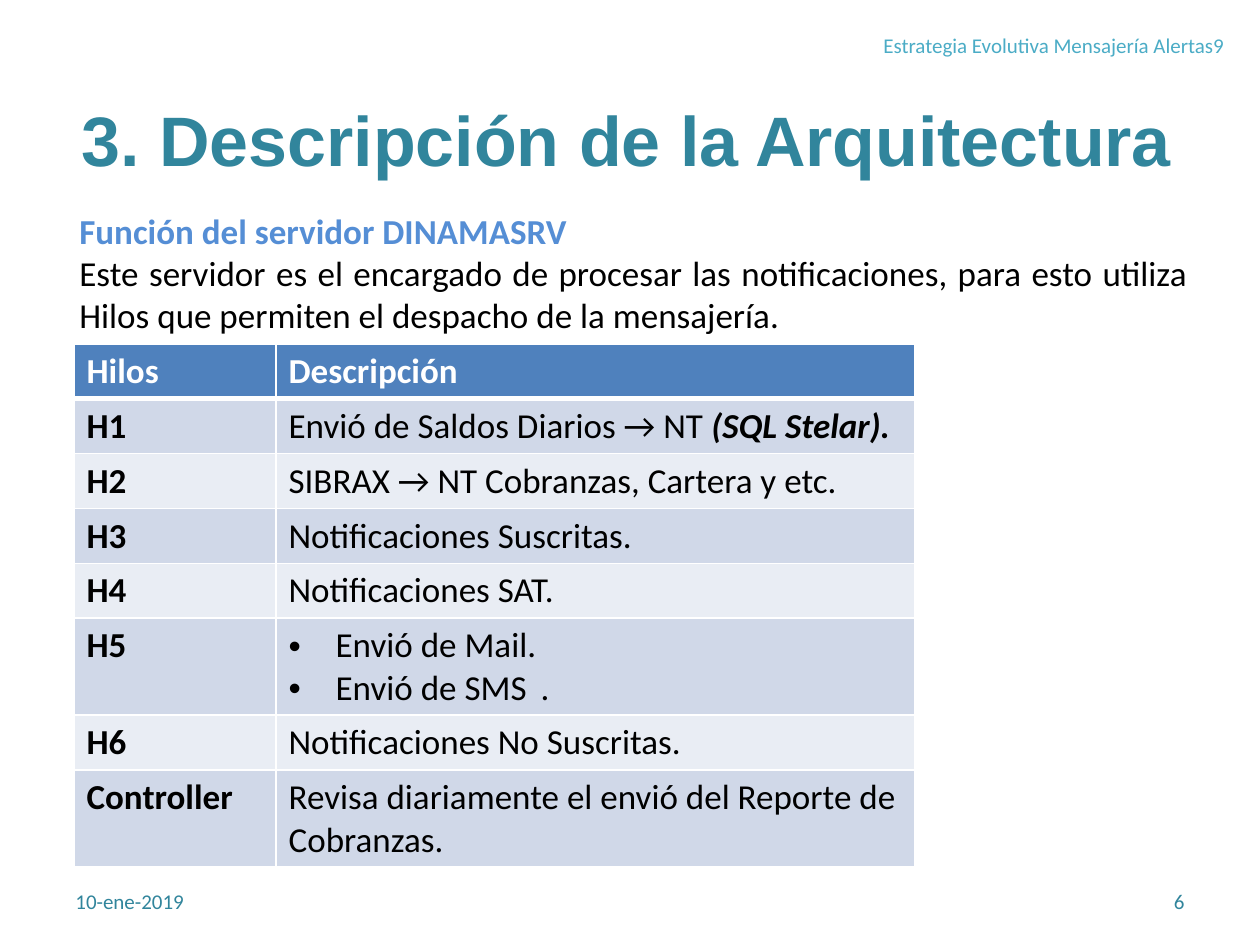
from lxml import etree
from pptx import Presentation
from pptx.dml.color import RGBColor
from pptx.enum.text import MSO_ANCHOR, PP_ALIGN
from pptx.oxml.ns import qn
from pptx.util import Pt

LEFT, CENTER, RIGHT, JUSTIFY = PP_ALIGN.LEFT, PP_ALIGN.CENTER, PP_ALIGN.RIGHT, PP_ALIGN.JUSTIFY
MIDDLE = MSO_ANCHOR.MIDDLE
SCALE = 914400 / 126
TEAL, WHITE, BLACK = "31859C", "FFFFFF", "000000"
HEADER_FILL, BANDS = "4F81BD", ("E9EDF4", "D0D8E8")


def px(*lengths):
    return [round(length * SCALE) for length in lengths]


def write(para, text, size=20, color=BLACK, bold=False, italic=False, font="Calibri", align=LEFT):
    para.alignment = align
    span = para.add_run()
    span.text = text
    span.font.name = font
    span.font.size = Pt(size)
    span.font.bold = bold
    span.font.italic = italic
    span.font.color.rgb = RGBColor.from_string(color)


deck = Presentation()
deck.slide_width, deck.slide_height = px(1260, 945)
page = deck.slides.add_slide(deck.slide_layouts[5])

title = page.shapes.title
title.left, title.top, title.width, title.height = px(-1, 75, 1255, 127)
title.text_frame.vertical_anchor = MIDDLE
write(title.text_frame.paragraphs[0], "3. Descripción de la Arquitectura",
      size=40, color=TEAL, bold=True, font="Arial", align=CENTER)

labels = [
    ((903, 876, 294, 50), "6", TEAL, RIGHT, True),
    ((871, 26, 383, 38), "Estrategia Evolutiva Mensajería Alertas9", "4BACC6", LEFT, False),
    ((63, 876, 294, 50), "10-ene-2019", TEAL, LEFT, True),
]
for place, text, color, align, wrap in labels:
    box = page.shapes.add_textbox(*px(*place))
    box.text_frame.word_wrap = wrap
    box.text_frame.vertical_anchor = MIDDLE
    write(box.text_frame.paragraphs[0], text, size=12, color=color, align=align)

intro = page.shapes.add_textbox(*px(67, 203, 1133, 140)).text_frame
intro.word_wrap = True
write(intro.paragraphs[0], "Función del servidor DINAMASRV", color="558ED5", bold=True, align=JUSTIFY)
write(intro.add_paragraph(),
      "Este servidor es el encargado de procesar las notificaciones, para esto utiliza "
      "Hilos que permiten el despacho de la mensajería.", align=JUSTIFY)

threads = [
    ("Hilos", ["Descripción"]),
    ("H1", ["Envió de Saldos Diarios → NT "]),
    ("H2", ["SIBRAX → NT Cobranzas, Cartera y etc."]),
    ("H3", ["Notificaciones Suscritas."]),
    ("H4", ["Notificaciones SAT."]),
    ("H5", ["Envió de Mail.", "Envió de SMS\t."]),
    ("H6", ["Notificaciones No Suscritas."]),
    ("Controller", ["Revisa diariamente el envió del Reporte de Cobranzas."]),
]
heights = [54, 55, 54, 55, 55, 96, 55, 96]
table = page.shapes.add_table(len(threads), 2, *px(74, 344, 841, sum(heights))).table
for column, width in zip(table.columns, px(202, 639)):
    column.width = width
for row, height in zip(table.rows, px(*heights)):
    row.height = height

for index, (name, lines) in enumerate(threads):
    header = index == 0
    for column, texts in enumerate(([name], lines)):
        cell = table.cell(index, column)
        properties = cell._tc.get_or_add_tcPr()
        for side in "LRTB":
            thick = (header and side == "B") or (index == 1 and side == "T")
            line = etree.SubElement(properties, qn(f"a:ln{side}"), w=str(Pt(3 if thick else 1)))
            fill = etree.SubElement(line, qn("a:solidFill"))
            etree.SubElement(fill, qn("a:srgbClr"), val=WHITE)
        cell.fill.solid()
        cell.fill.fore_color.rgb = RGBColor.from_string(HEADER_FILL if header else BANDS[index % 2])
        for number, text in enumerate(texts):
            para = cell.text_frame.paragraphs[0] if number == 0 else cell.text_frame.add_paragraph()
            if len(texts) > 1:
                bullet = para._p.get_or_add_pPr()
                indent = px(47)[0]
                bullet.set("marL", str(indent))
                bullet.set("indent", str(-indent))
                etree.SubElement(bullet, qn("a:buFont"), typeface="Arial")
                etree.SubElement(bullet, qn("a:buChar"), char="•")
            write(para, text, color=WHITE if header else BLACK, bold=header or column == 0)

write(table.cell(1, 1).text_frame.paragraphs[0], "(SQL Stelar).", bold=True, italic=True)

deck.save("out.pptx")
